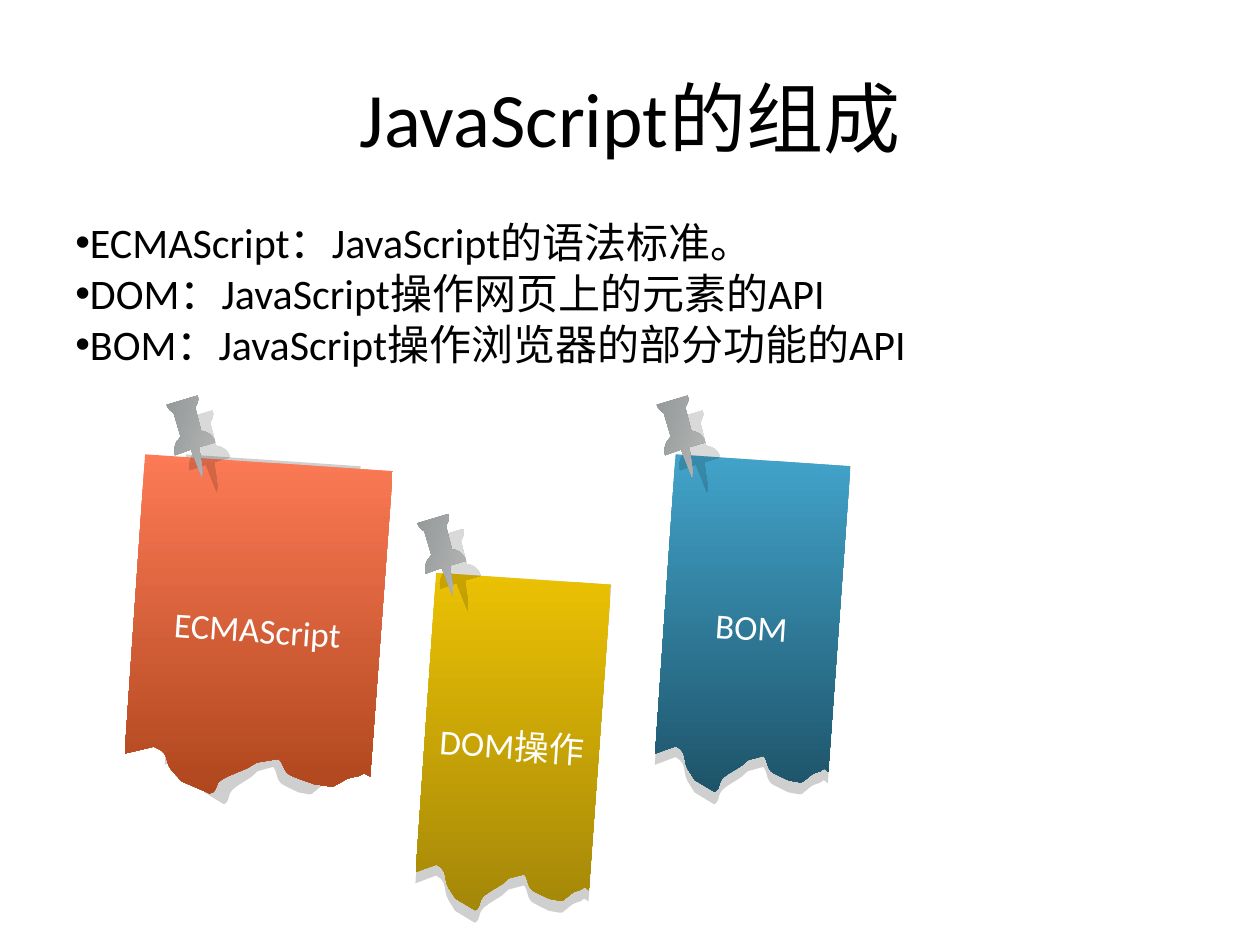
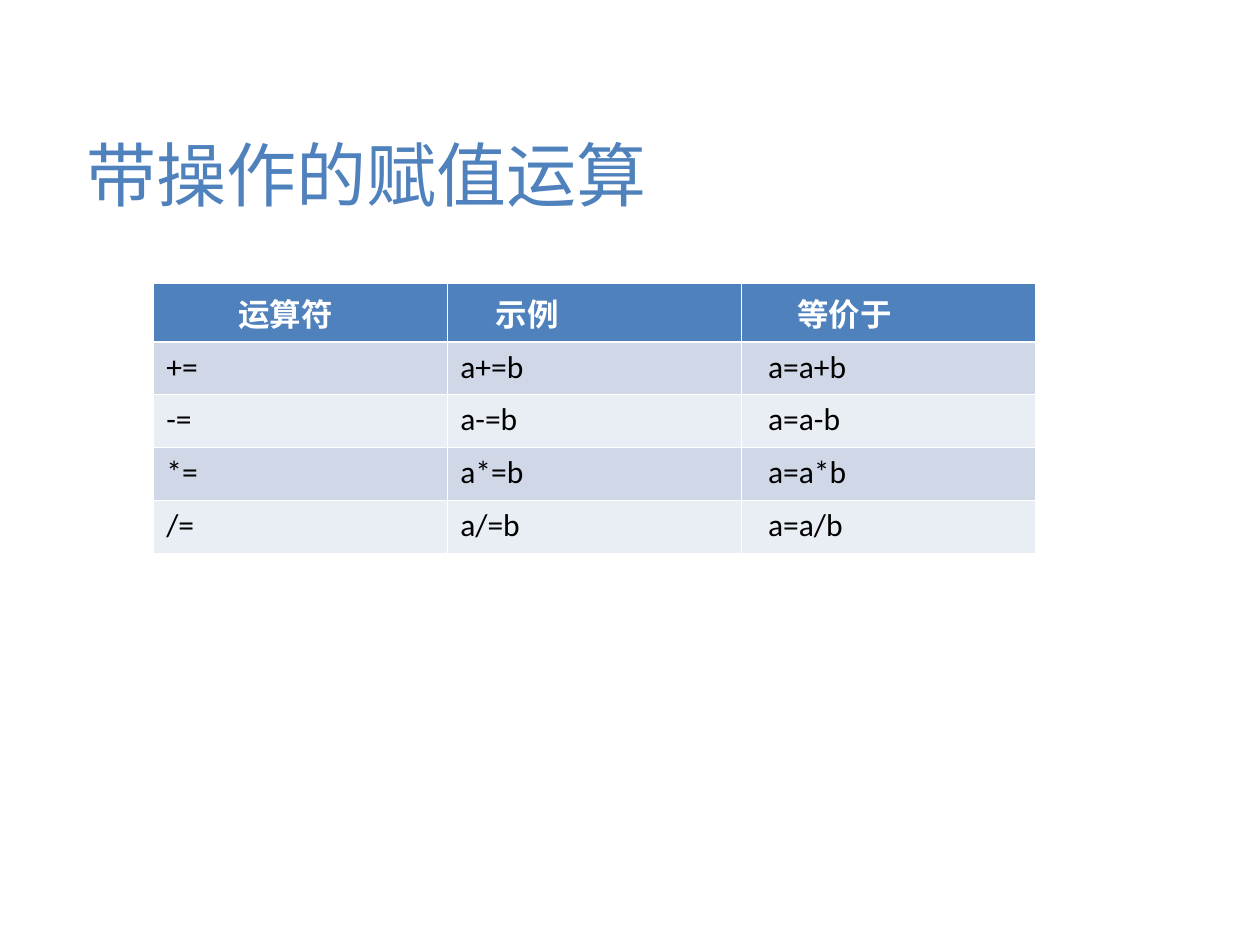
from lxml import etree
from pptx import Presentation
from pptx.dml.color import RGBColor
from pptx.enum.text import MSO_ANCHOR, PP_ALIGN
from pptx.oxml.ns import qn
from pptx.util import Inches, Pt

LEFT, CENTER = PP_ALIGN.LEFT, PP_ALIGN.CENTER
TOP, MIDDLE = MSO_ANCHOR.TOP, MSO_ANCHOR.MIDDLE
FONT = "Calibri"
BLACK, WHITE, BLUE, SHADE = "000000", "FFFFFF", "4F81BD", "CFCFCF"
BANDS = ("D0D8E8", "E9EDF4")
STEEL = ("8A8F8F", "BDBDBD")
TILT, LEAN = 3.9, 298.5

NOTE_SIZE = (1.39, 2.65)
NOTE = [
    (0, 0), (0, 2.38), (0.16, 2.31),
    (0.26, 2.35, 0.22, 2.42, 0.27, 2.49), (0.33, 2.57), (0.49, 2.65),
    (0.53, 2.64, 0.52, 2.57, 0.54, 2.55),
    (0.56, 2.52, 0.57, 2.52, 0.59, 2.5),
    (0.69, 2.43), (0.74, 2.38), (0.86, 2.34),
    (0.89, 2.36, 0.89, 2.43, 0.93, 2.46),
    (0.96, 2.48, 1.05, 2.51, 1.07, 2.52), (1.16, 2.53),
    (1.19, 2.53, 1.19, 2.51, 1.21, 2.5),
    (1.23, 2.48, 1.25, 2.46, 1.27, 2.45), (1.32, 2.43),
    (1.33, 2.42, 1.34, 2.41, 1.35, 2.41), (1.38, 2.43), (1.39, 0),
]
PIN_SIZE = (0.55, 0.52)
PIN = [
    (0.37, 0), (0.55, 0.18), (0.53, 0.21, 0.5, 0.21, 0.46, 0.21),
    (0.32, 0.34), (0.34, 0.39, 0.33, 0.45, 0.29, 0.48), (0.2, 0.39),
    (0.13, 0.43, 0.08, 0.49, 0, 0.52),
    (0.05, 0.46, 0.1, 0.4, 0.15, 0.34), (0.05, 0.25),
    (0.08, 0.22, 0.12, 0.21, 0.16, 0.21),
    (0.17, 0.22, 0.18, 0.21, 0.2, 0.22), (0.34, 0.08),
    (0.34, 0.05, 0.35, 0.02, 0.37, 0),
]


def color(code):
    return RGBColor.from_string(code)


def inches(values):
    return [Inches(v) for v in values]


def assign(target, values):
    for key, value in values.items():
        setattr(target, key, value)


def add(parent, tag, **attrs):
    node = etree.SubElement(parent, qn(tag))
    for key, value in attrs.items():
        node.set(key, str(value))
    return node


def trace(steps, count=6):
    points = [steps[0]]
    for step in steps[1:]:
        if len(step) == 2:
            points.append(step)
            continue
        nodes = [points[-1], step[:2], step[2:4], step[4:]]
        for i in range(1, count + 1):
            t = i / count
            u = 1 - t
            parts = (u ** 3, 3 * u * u * t, 3 * u * t * t, t ** 3)
            points.append(tuple(
                sum(w * node[axis] for w, node in zip(parts, nodes))
                for axis in (0, 1)))
    return points


class Deck:
    def __init__(self):
        self.show = Presentation()
        assign(self.show, {"slide_width": Inches(10), "slide_height": Inches(7.5)})
        self.slide = None

    def start(self, text, box, size, hue, align):
        self.slide = self.show.slides.add_slide(self.show.slide_layouts[5])
        title = self.slide.shapes.title
        assign(title, dict(zip(("left", "top", "width", "height"), inches(box))))
        title.text_frame.vertical_anchor = MIDDLE
        self.label(title.text_frame.paragraphs[0], text, size, hue, alignment=align)

    def label(self, para, text, size, hue, bold=False, **form):
        run = para.add_run()
        run.text = text
        assign(run.font, {"name": FONT, "size": Pt(size), "bold": bold})
        run.font.color.rgb = color(hue)
        assign(para, form)

    def bullets(self, lines, box):
        frame = self.slide.shapes.add_textbox(*inches(box)).text_frame
        assign(frame, {"word_wrap": True, "vertical_anchor": TOP})
        for i, line in enumerate(lines):
            para = frame.add_paragraph() if i else frame.paragraphs[0]
            self.label(para, line, 24, BLACK, alignment=LEFT,
                       line_spacing=0.8, space_before=Pt(6))
            props = para._p.get_or_add_pPr()
            add(props, "a:buFont", typeface="Arial")
            add(props, "a:buChar", char="•")

    def outline(self, steps, base, box, turn, hues, angle=90):
        left, top, wide, high = box
        points = [(Inches(left + x * wide / base[0]), Inches(top + y * high / base[1]))
                  for x, y in trace(steps)]
        pen = self.slide.shapes.build_freeform(*points[0])
        pen.add_line_segments(points[1:], close=True)
        shape = pen.convert_to_shape()
        shape.rotation = turn
        shape.shadow.inherit = False
        shape.line.fill.background()
        if len(hues) == 1:
            shape.fill.solid()
            shape.fill.fore_color.rgb = color(hues[0])
        else:
            shape.fill.gradient()
            shape.fill.gradient_angle = 360 - angle
            for stop, hue in zip(shape.fill.gradient_stops, hues):
                stop.color.rgb = color(hue)
            shape._element.spPr.find(qn("a:gradFill")).set("rotWithShape", "0")
        return shape

    def note(self, text, box, slot, hues):
        left, top = slot
        self.outline(NOTE, NOTE_SIZE, (left, top, 1.39, 2.75), TILT, (SHADE,))
        sheet = self.outline(NOTE, NOTE_SIZE, box, TILT, hues)
        frame = sheet.text_frame
        sides = ("margin_left", "margin_top", "margin_right", "margin_bottom")
        assign(frame, dict(zip(sides, inches((0.08, 0.05, 0.08, 0.12)))))
        assign(frame, {"word_wrap": True, "vertical_anchor": MIDDLE})
        self.label(frame.paragraphs[0], text, 20, WHITE,
                   alignment=CENTER, line_spacing=1.2)
        self.pin(left - 0.15, top - 0.49)

    def pin(self, left, top):
        shape = self.outline(PIN, PIN_SIZE, (left, top, *PIN_SIZE), LEAN, STEEL, 16)
        effects = shape._element.spPr.find(qn("a:effectLst"))
        cast = add(effects, "a:outerShdw", blurRad=0, dist=Pt(12.1),
                   dir=45 * 60000, algn="tl", rotWithShape=0)
        add(add(cast, "a:srgbClr", val=BLACK), "a:alpha", val=14000)

    def edges(self, cell, widths):
        props = cell._tc.get_or_add_tcPr()
        for side, width in widths.items():
            line = add(props, "a:ln" + side, w=Pt(width))
            add(add(line, "a:solidFill"), "a:srgbClr", val=WHITE)

    def table(self, rows, box, heights, indents):
        grid = self.slide.shapes.add_table(len(rows), len(rows[0]), *inches(box)).table
        for r, row in enumerate(rows):
            grid.rows[r].height = Inches(heights[r])
            head = r == 0
            for c, text in enumerate(row):
                cell = grid.cell(r, c)
                self.edges(cell, {"L": 0.45, "R": 0.45,
                                  "T": 1.47 if r == 1 else 0.45,
                                  "B": 1.47 if head else 0.45})
                cell.fill.solid()
                cell.fill.fore_color.rgb = color(BLUE if head else BANDS[(r - 1) % 2])
                para = cell.text_frame.paragraphs[0]
                self.label(para, text, 18, WHITE if head else BLACK, head, alignment=LEFT)
                para._p.get_or_add_pPr().set("marL", str(Inches(indents[head][c])))


def main():
    deck = Deck()
    deck.start("JavaScript的组成", (0.5, 0.3, 9, 1.25), 44, BLACK, CENTER)
    deck.bullets(["ECMAScript：JavaScript的语法标准。",
                  "DOM：JavaScript操作网页上的元素的API",
                  "BOM：JavaScript操作浏览器的部分功能的API"], (0.5, 1.75, 9, 4.95))
    notes = [
        ("ECMAScript", (1.06, 3.67, 1.97, 2.65), (1.38, 3.65), ("FC7A56", "AD451B")),
        ("DOM操作", (3.37, 4.59, *NOTE_SIZE), (3.37, 4.59), ("EBC103", "A38609")),
        ("BOM", (5.27, 3.65, *NOTE_SIZE), (5.27, 3.65), ("42A3CA", "1D5267")),
    ]
    for item in notes:
        deck.note(*item)

    deck.start("带操作的赋值运算", (0.59, 0.99, 8.82, 0.77), 40, BLUE, LEFT)
    rows = [("运算符", "示例", "等价于")]
    rows += [(f"{sign}=", f"a{sign}=b", f"a=a{sign}b") for sign in "+-*/"]
    deck.table(rows, (1.22, 2.25, 7, 2.07), [0.4] + [0.42] * 4,
               {True: (0.57, 0.28, 0.34), False: (0, 0, 0.11)})
    deck.show.save("out.pptx")


if __name__ == "__main__":
    main()
